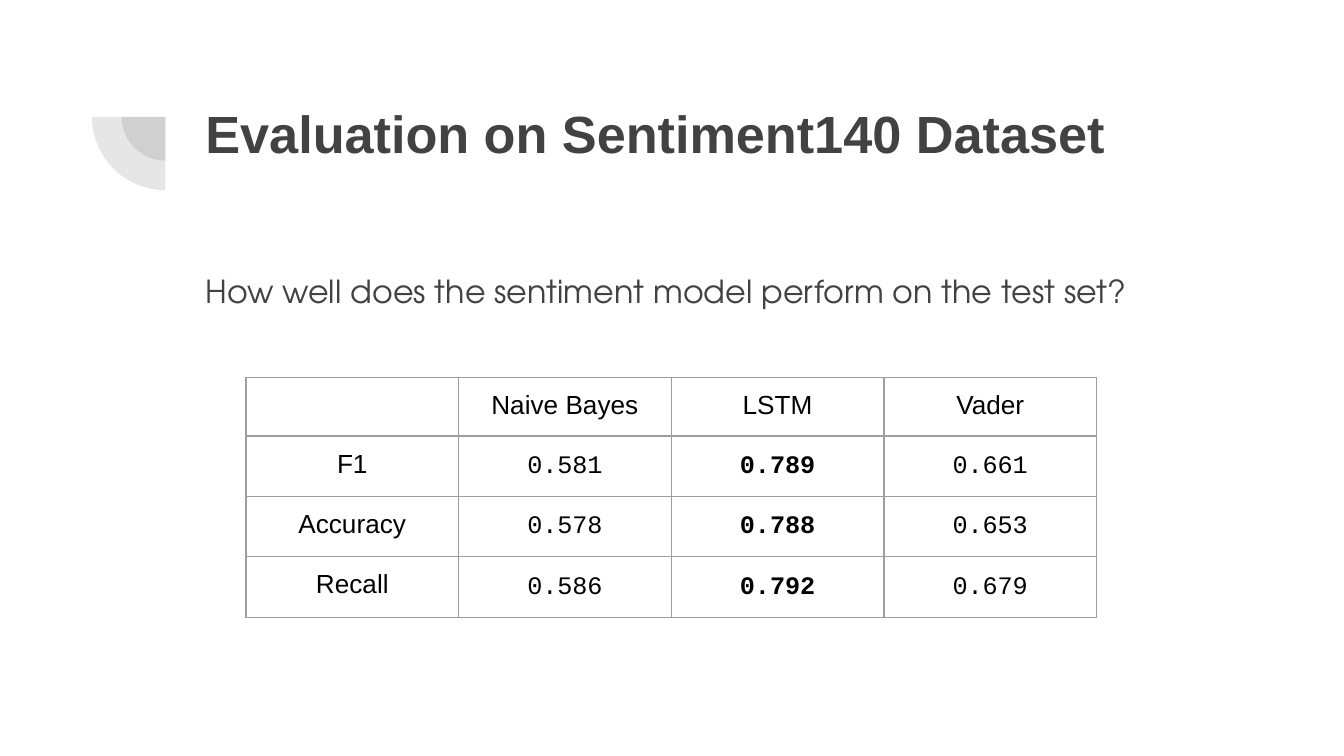
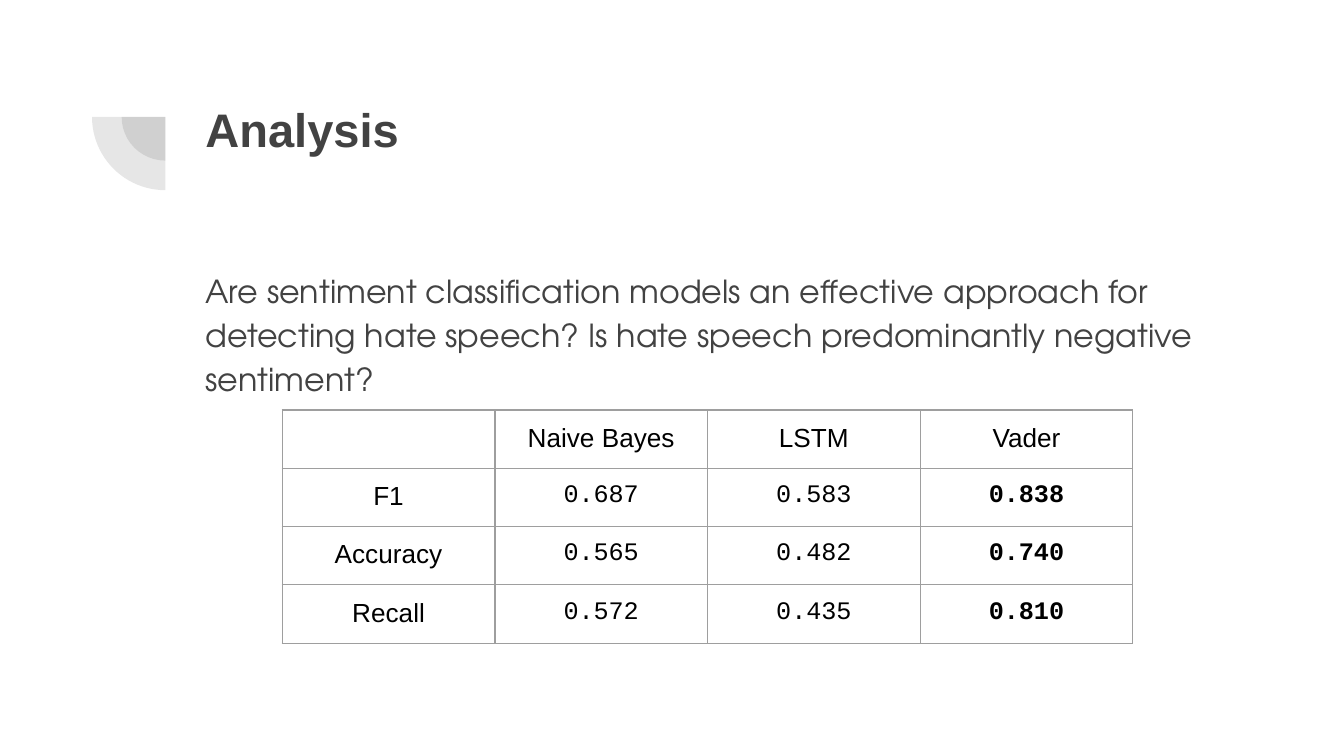
from dataclasses import dataclass

from lxml.etree import SubElement
from pptx import Presentation
from pptx.dml.color import RGBColor
from pptx.enum.shapes import MSO_SHAPE
from pptx.enum.text import MSO_ANCHOR, PP_ALIGN
from pptx.oxml.ns import qn
from pptx.util import Inches, Pt

# Content: each table is a header row followed by metric rows
MODELS = ["", "Naive Bayes", "LSTM", "Vader"]
SLIDES = [
    {
        "title": "Evaluation on Sentiment140 Dataset",
        "title_size": 28,
        "question": "How well does the sentiment model perform on the test set?",
        "table_at": (1.83, 2.81),
        "best_model": "LSTM",
        "score_spacing": 1.11,
        "scores": [
            ("F1", "0.581", "0.789", "0.661"),
            ("Accuracy", "0.578", "0.788", "0.653"),
            ("Recall", "0.586", "0.792", "0.679"),
        ],
    },
    {
        "title": "Analysis",
        "title_size": 25.2,
        "question": "Are sentiment classification models an effective approach for "
                    "detecting hate speech? Is hate speech predominantly negative "
                    "sentiment?",
        "table_at": (2.1, 3.05),
        "best_model": "Vader",
        "score_spacing": 1.0,
        "scores": [
            ("F1", "0.687", "0.583", "0.838"),
            ("Accuracy", "0.565", "0.482", "0.740"),
            ("Recall", "0.572", "0.435", "0.810"),
        ],
    },
]


@dataclass(frozen=True)
class Theme:
    ink: str = "424242"
    table_ink: str = "000000"
    border: str = "9E9E9E"
    border_width: float = 0.75
    ornament_alpha: int = 13
    heading_font: str = "Arial"
    body_font: str = "TeX Gyre Adventor"
    score_font: str = "Courier New"
    body_size: float = 17
    label_size: float = 14
    score_size: float = 13.5


THEME = Theme()
ORNAMENT_CENTER = (1.23, 0.87)
ORNAMENT_DIAMETERS = (0.65, 1.09)
TEXT_LEFT, TEXT_WIDTH = 1.43, 7.69
TABLE_WIDTH, ROW_HEIGHT = 6.33, 0.42
FRAME_SIDE = Inches(3.28)
INSET = Inches(0.1)


def set_font(para, name, size, color, bold=False):
    font = para.font
    font.name, font.size, font.bold = name, Pt(size), bold
    font.color.rgb = RGBColor.from_string(color)


def set_margins(holder):
    holder.margin_left = holder.margin_right = INSET
    holder.margin_top = holder.margin_bottom = INSET


def add_ornament(page):
    """Two translucent quarter discs around one corner point."""
    center_x, center_y = ORNAMENT_CENTER
    for diameter in ORNAMENT_DIAMETERS:
        quarter = page.shapes.add_shape(
            MSO_SHAPE.PIE,
            Inches(center_x - diameter / 2), Inches(center_y - diameter / 2),
            Inches(diameter), Inches(diameter))
        quarter.adjustments[0], quarter.adjustments[1] = 108, 162
        quarter.rotation = 270
        quarter.shadow.inherit = False
        quarter.line.fill.background()
        quarter.fill.solid()
        quarter.fill.fore_color.rgb = RGBColor.from_string(THEME.ink)
        color = quarter.fill._xPr.find(".//" + qn("a:srgbClr"))
        SubElement(color, qn("a:alpha"), val=str(THEME.ornament_alpha * 1000))


def add_text(page, text, top, height, font, size, bold=False, spacing=1.0):
    box = page.shapes.add_textbox(
        Inches(TEXT_LEFT), Inches(top), Inches(TEXT_WIDTH), Inches(height))
    frame = box.text_frame
    frame.word_wrap = True
    frame.vertical_anchor = MSO_ANCHOR.TOP
    set_margins(frame)
    para = frame.paragraphs[0]
    para.text = text
    para.line_spacing = spacing
    set_font(para, font, size, THEME.ink, bold)


def add_borders(cell):
    properties = cell._tc.get_or_add_tcPr()
    for position, side in enumerate(("a:lnL", "a:lnR", "a:lnT", "a:lnB")):
        line = SubElement(properties, qn(side), w=str(Pt(THEME.border_width)))
        fill = SubElement(line, qn("a:solidFill"))
        SubElement(fill, qn("a:srgbClr"), val=THEME.border)
        properties.insert(position, line)  # borders come before the fill


def add_score_table(page, content):
    rows = [MODELS, *content["scores"]]
    left, top = content["table_at"]
    holder = page.shapes.add_table(
        len(rows), len(MODELS), Inches(left), Inches(top),
        Inches(TABLE_WIDTH), Inches(ROW_HEIGHT * len(rows)))
    table = holder.table
    table.first_row = table.horz_banding = False
    best_column = MODELS.index(content["best_model"])

    for row_index, row in enumerate(rows):
        for column_index, text in enumerate(row):
            cell = table.cell(row_index, column_index)
            cell.fill.background()
            set_margins(cell)
            add_borders(cell)
            para = cell.text_frame.paragraphs[0]
            para.alignment = PP_ALIGN.CENTER
            if row_index and column_index:
                para.text = text
                para.line_spacing = content["score_spacing"]
                set_font(para, THEME.score_font, THEME.score_size,
                         THEME.table_ink, column_index == best_column)
            else:
                set_font(para, THEME.heading_font, THEME.label_size, THEME.table_ink)
                if text:
                    para.text = text
                else:  # an empty cell takes its height from the end mark
                    SubElement(para._p, qn("a:endParaRPr"),
                               sz=str(THEME.label_size * 100))

    # The frame is a square; rows and columns keep their own sizes
    holder.width = holder.height = FRAME_SIDE


def main():
    deck = Presentation()
    deck.slide_width = Inches(10)
    deck.slide_height = deck.slide_width * 9 // 16
    for content in SLIDES:
        page = deck.slides.add_slide(deck.slide_layouts[6])
        add_ornament(page)
        add_text(page, content["question"], 1.88, 2.78,
                 THEME.body_font, THEME.body_size, spacing=1.15)
        add_text(page, content["title"], 0.65, 1.09,
                 THEME.heading_font, content["title_size"], bold=True)
        add_score_table(page, content)
    deck.save("out.pptx")


if __name__ == "__main__":
    main()
